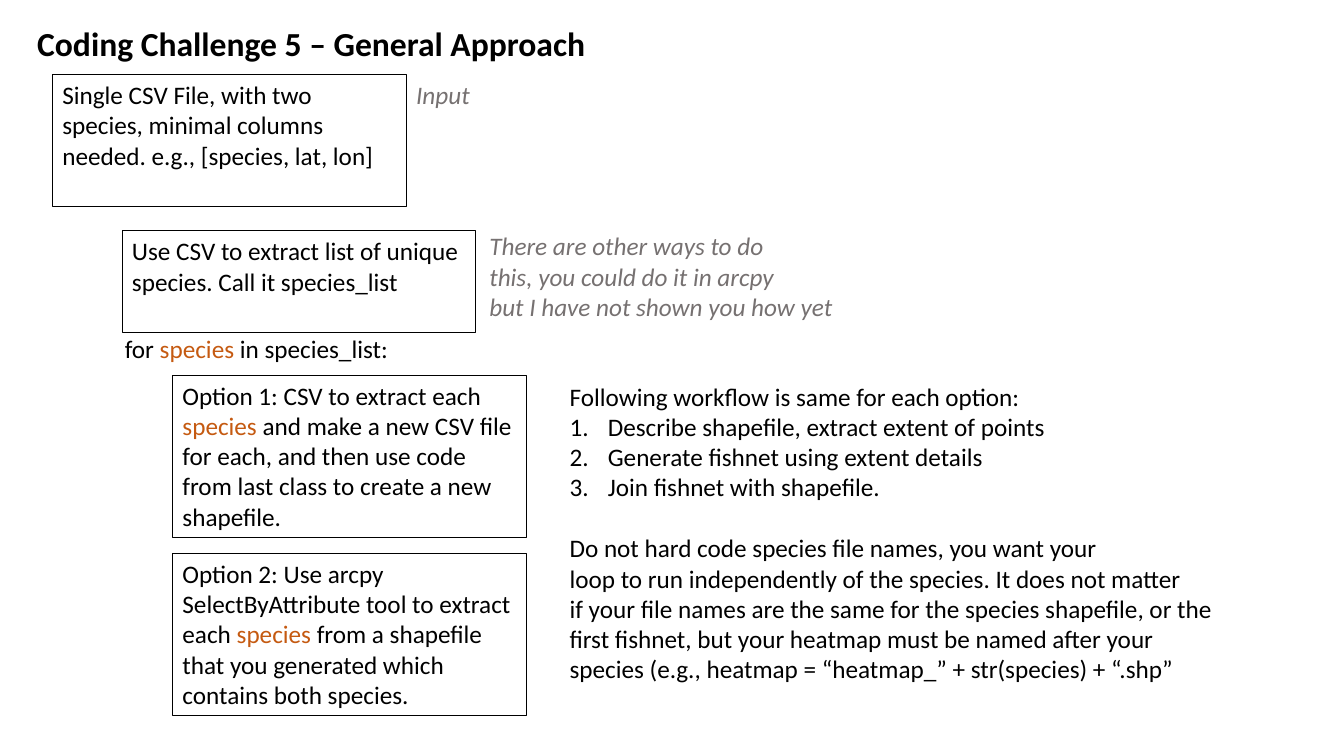
from collections import namedtuple

from lxml.etree import SubElement
from pptx import Presentation
from pptx.dml.color import RGBColor
from pptx.enum.shapes import MSO_SHAPE
from pptx.enum.text import MSO_ANCHOR, PP_ALIGN
from pptx.oxml.ns import qn
from pptx.util import Inches, Pt

SLIDE_WIDTH, SLIDE_HEIGHT = Inches(13.33), Inches(7.5)
BLACK = RGBColor(0x00, 0x00, 0x00)
GRAY = RGBColor(0x76, 0x71, 0x71)
ORANGE = RGBColor(0xC5, 0x5A, 0x11)
FONT_NAME = "Calibri"
LINE_SPACE = Pt(22)
NUMBER_INDENT = Inches(0.38)

Box = namedtuple("Box", "left top width height")

TITLE_BOX = Box(2.03, 2.4, 42.69, 6.67)
INPUT_BOX = Box(3.9, 9.87, 26.33, 17.47)
SPECIES_LIST_BOX = Box(9.08, 30.53, 26.33, 13.47)
LOOP_BOX = Box(8.55, 43.47, 30.61, 51.2)
WORKFLOW_BOX = Box(41.64, 49.73, 50.34, 41.73)

OPTIONS = [
    ["Option 1: CSV to extract each ", "species",
     " and make a new CSV file for each, and then use code from last class"
     " to create a new shapefile."],
    ["Option 2: Use arcpy SelectByAttribute tool to extract each ", "species",
     " from a shapefile that you generated which contains both species."],
]
WORKFLOW_STEPS = [
    "Describe shapefile, extract extent of points",
    "Generate fishnet using extent details",
    "Join fishnet with shapefile.",
]
NAMING_ADVICE = [
    "Do not hard code species file names, you want your",
    "loop to run independently of the species. It does not matter",
    "if your file names are the same for the species shapefile, or the",
    "first fishnet, but your heatmap must be named after your",
    "species (e.g., heatmap = “heatmap_” + str(species) + “.shp”",
]


def to_lengths(box):
    """Turn percentages of the slide into lengths."""
    return (int(SLIDE_WIDTH * box.left / 100), int(SLIDE_HEIGHT * box.top / 100),
            int(SLIDE_WIDTH * box.width / 100), int(SLIDE_HEIGHT * box.height / 100))


def inside(box, left, top, width, height):
    """Return the part of a box given by shares of its size."""
    return Box(box.left + left * box.width, box.top + top * box.height,
               width * box.width, height * box.height)


def write_lines(text_frame, lines, color=BLACK, size=18, bold=False, italic=False):
    """Write one paragraph per line; a line is a list of runs."""
    text_frame.vertical_anchor = MSO_ANCHOR.TOP
    for index, runs in enumerate(lines):
        paragraph = text_frame.add_paragraph() if index else text_frame.paragraphs[0]
        paragraph.alignment = PP_ALIGN.LEFT
        font = paragraph.font
        font.name, font.size, font.bold, font.italic = FONT_NAME, Pt(size), bold, italic
        font.color.rgb = color
        for text in runs:
            run = paragraph.add_run()
            run.text = text
            run.font.color.rgb = ORANGE if text == "species" else color
    return text_frame.paragraphs


def add_text(slide, box, lines, **style):
    """Add unwrapped text and return its paragraphs."""
    text_frame = slide.shapes.add_textbox(*to_lengths(box)).text_frame
    text_frame.word_wrap = False
    return write_lines(text_frame, lines, **style)


def add_outlined_box(slide, box, runs):
    """Add a thin black rectangle with wrapped text."""
    shape = slide.shapes.add_shape(MSO_SHAPE.RECTANGLE, *to_lengths(box))
    shape.shadow.inherit = False
    shape.fill.background()
    shape.line.color.rgb = BLACK
    shape.line.width = Pt(0.75)
    shape.text_frame.word_wrap = True
    write_lines(shape.text_frame, [runs])


def number_paragraph(paragraph):
    """Give a paragraph a hanging automatic number."""
    properties = paragraph._p.get_or_add_pPr()
    properties.set("marL", str(NUMBER_INDENT))
    properties.set("indent", str(-NUMBER_INDENT))
    SubElement(properties, qn("a:buFont"), typeface="+mj-lt")
    SubElement(properties, qn("a:buAutoNum"), type="arabicPeriod")


def add_step(slide, box, text, note_lines, note_box):
    """Add a step with a gray note on its right."""
    add_outlined_box(slide, box, [text])
    add_text(slide, inside(box, *note_box), [[line] for line in note_lines],
             color=GRAY, italic=True)


def add_loop(slide, box):
    """Add the loop header and the two options stacked below it."""
    add_text(slide, inside(box, 0, 0, 0.71, 0.1),
             [["for ", "species", " in species_list:"]])
    for index, runs in enumerate(OPTIONS):
        add_outlined_box(slide, inside(box, 0.14, 0.12 + 0.46 * index, 0.86, 0.42), runs)


def add_workflow(slide, box):
    """Add the shared numbered workflow and the naming advice."""
    lines = ["Following workflow is same for each option:", *WORKFLOW_STEPS, *NAMING_ADVICE]
    paragraphs = add_text(slide, box, [[line] for line in lines])
    advice_start = 1 + len(WORKFLOW_STEPS)
    for paragraph in paragraphs[1:advice_start]:
        number_paragraph(paragraph)
    paragraphs[advice_start].space_before = LINE_SPACE


def build_approach_slide(presentation):
    """Build the general approach slide."""
    slide = presentation.slides.add_slide(presentation.slide_layouts[6])
    add_text(slide, TITLE_BOX, [["Coding Challenge 5 – General Approach"]],
             size=24, bold=True)
    add_step(slide, INPUT_BOX,
             "Single CSV File, with two species, minimal columns needed."
             " e.g., [species, lat, lon]",
             ["Input"], (1, 0, 0.21, 0.31))
    add_step(slide, SPECIES_LIST_BOX,
             "Use CSV to extract list of unique species. Call it species_list",
             ["There are other ways to do", "this, you could do it in arcpy",
              "but I have not shown you how yet"], (1.01, -0.05, 1.04, 1))
    add_loop(slide, LOOP_BOX)
    add_workflow(slide, WORKFLOW_BOX)


presentation = Presentation()
presentation.slide_width, presentation.slide_height = SLIDE_WIDTH, SLIDE_HEIGHT
build_approach_slide(presentation)
presentation.save("out.pptx")
